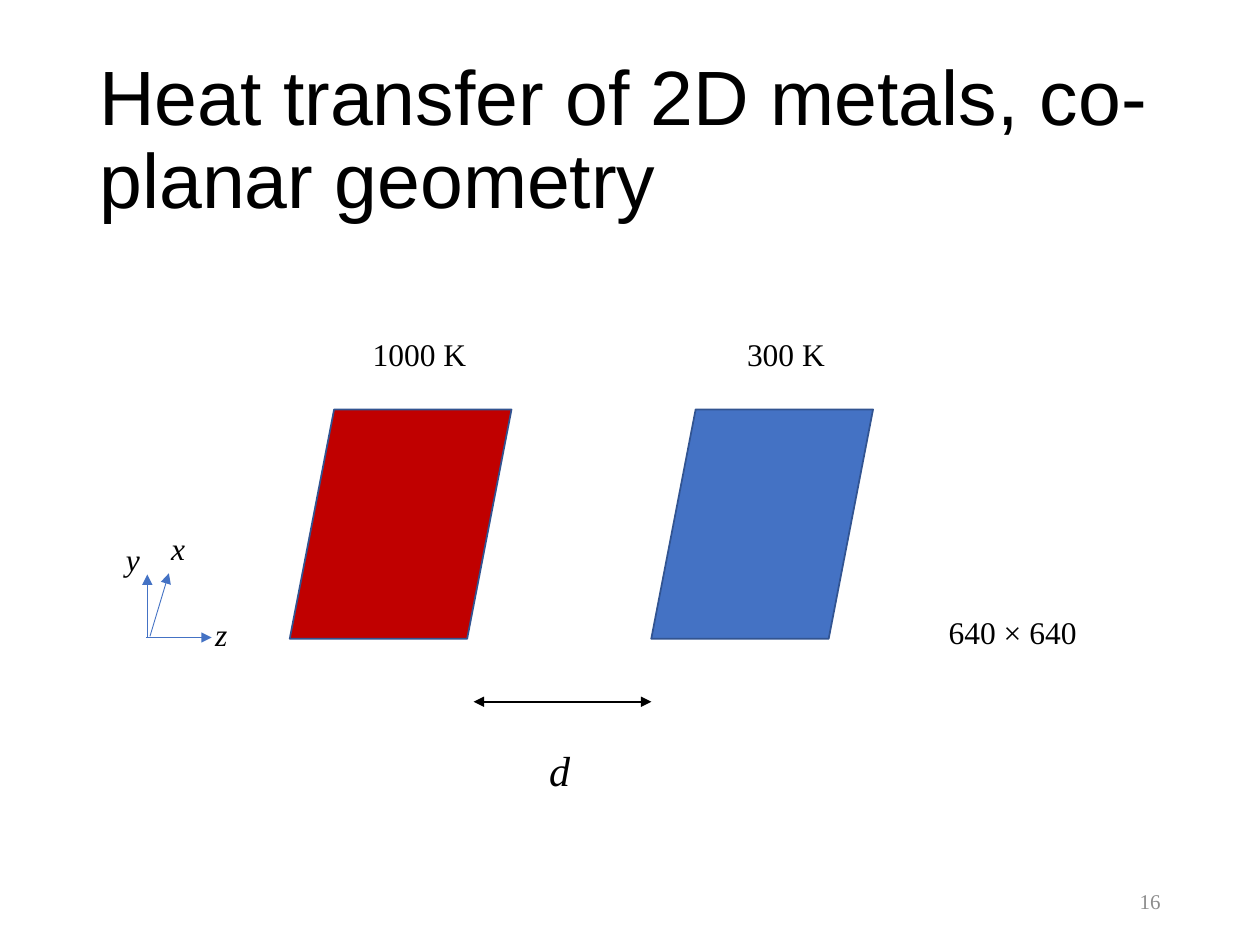
from dataclasses import dataclass

from lxml.etree import SubElement
from pptx import Presentation
from pptx.dml.color import RGBColor
from pptx.enum.shapes import MSO_CONNECTOR as Connector, MSO_SHAPE as Preset
from pptx.enum.text import MSO_ANCHOR as Anchor, PP_ALIGN as Align
from pptx.oxml.ns import qn
from pptx.util import Pt

COLORS = {
    "text": "000000",
    "page_number": "8C8C8C",
    "hot": "C00000",
    "cold": "4472C4",
    "outline": "325491",
    "axis": "4472C4",
}
SERIF = "Times New Roman"
PLATE_TOP, PLATE_WIDTH, PLATE_HEIGHT = 234, 126.7, 131
LABEL_HEIGHT = 28.8


@dataclass
class Plate:
    left: float
    color: str
    temperature: str
    label_left: float


@dataclass
class Axis:
    name: str
    start: tuple[float, float]
    end: tuple[float, float]
    label_left: float
    label_top: float


PLATES = [
    Plate(165.6, "hot", "1000 K", 205.9),
    Plate(372.2, "cold", "300 K", 419.8),
]
AXES = [
    Axis("y", (84.2, 364.3), (84.2, 328.3), 64.8, 305.3),
    Axis("x", (85.7, 363.6), (96.5, 327.6), 90.7, 298.8),
    Axis("z", (83.5, 364.3), (121, 364.3), 115.9, 347.8),
]


def rgb(name: str) -> RGBColor:
    return RGBColor.from_string(COLORS[name])


def add_text(slide, text: str, left: float, top: float, width: float,
             height: float = LABEL_HEIGHT, *, size: float = 18,
             font: str = SERIF, color: str = "text", italic: bool = False,
             align=Align.LEFT, anchor=Anchor.TOP, line_spacing: float = 1.0):
    box = slide.shapes.add_textbox(Pt(left), Pt(top), Pt(width), Pt(height))
    frame = box.text_frame
    frame.word_wrap = True
    frame.vertical_anchor = anchor
    paragraph = frame.paragraphs[0]
    paragraph.alignment = align
    paragraph.line_spacing = line_spacing
    run = paragraph.add_run()
    run.text = text
    run.font.name = font
    run.font.size = Pt(size)
    run.font.italic = italic
    run.font.color.rgb = rgb(color)


def add_arrow(slide, start: tuple[float, float], end: tuple[float, float], *,
              color: str, width: float, both_ends: bool = False):
    arrow = slide.shapes.add_connector(
        Connector.STRAIGHT, *(Pt(value) for value in (*start, *end)))
    arrow.line.color.rgb = rgb(color)
    arrow.line.width = Pt(width)
    line = arrow.line._get_or_add_ln()
    for tag in ("a:headEnd", "a:tailEnd") if both_ends else ("a:tailEnd",):
        SubElement(line, qn(tag), type="triangle")
    SubElement(arrow._element.spPr, qn("a:effectLst"))


def add_plate(slide, plate: Plate):
    shape = slide.shapes.add_shape(
        Preset.FLOWCHART_DATA, Pt(plate.left), Pt(PLATE_TOP),
        Pt(PLATE_WIDTH), Pt(PLATE_HEIGHT))
    shape.shadow.inherit = False
    shape.fill.solid()
    shape.fill.fore_color.rgb = rgb(plate.color)
    shape.line.color.rgb = rgb("outline")
    shape.line.width = Pt(1)
    add_text(slide, plate.temperature, plate.label_left, 187.9, 77)


def add_axis(slide, axis: Axis):
    add_arrow(slide, axis.start, axis.end, color="axis", width=0.5)
    add_text(slide, axis.name, axis.label_left, axis.label_top, 23, italic=True)


def main():
    presentation = Presentation()
    presentation.slide_width, presentation.slide_height = Pt(720), Pt(540)
    slide = presentation.slides.add_slide(presentation.slide_layouts[6])

    add_text(slide, "Heat transfer of 2D metals, co-planar geometry",
             49.7, 28.8, 620.6, 104.4, size=44, font="Arial",
             anchor=Anchor.MIDDLE, line_spacing=0.9)
    add_text(slide, "16", 508.3, 500.4, 162, size=12, color="page_number",
             align=Align.RIGHT, anchor=Anchor.MIDDLE)

    for plate in PLATES:
        add_plate(slide, plate)
    add_arrow(slide, (270.7, 401), (372.2, 401), color="text", width=1.25,
              both_ends=True)
    add_text(slide, "d", 306.7, 421.9, 25.2, 36, size=24, italic=True)

    for axis in AXES:
        add_axis(slide, axis)
    add_text(slide, "640 × 640", 535, 347, 93.6)

    presentation.save("out.pptx")


if __name__ == "__main__":
    main()
